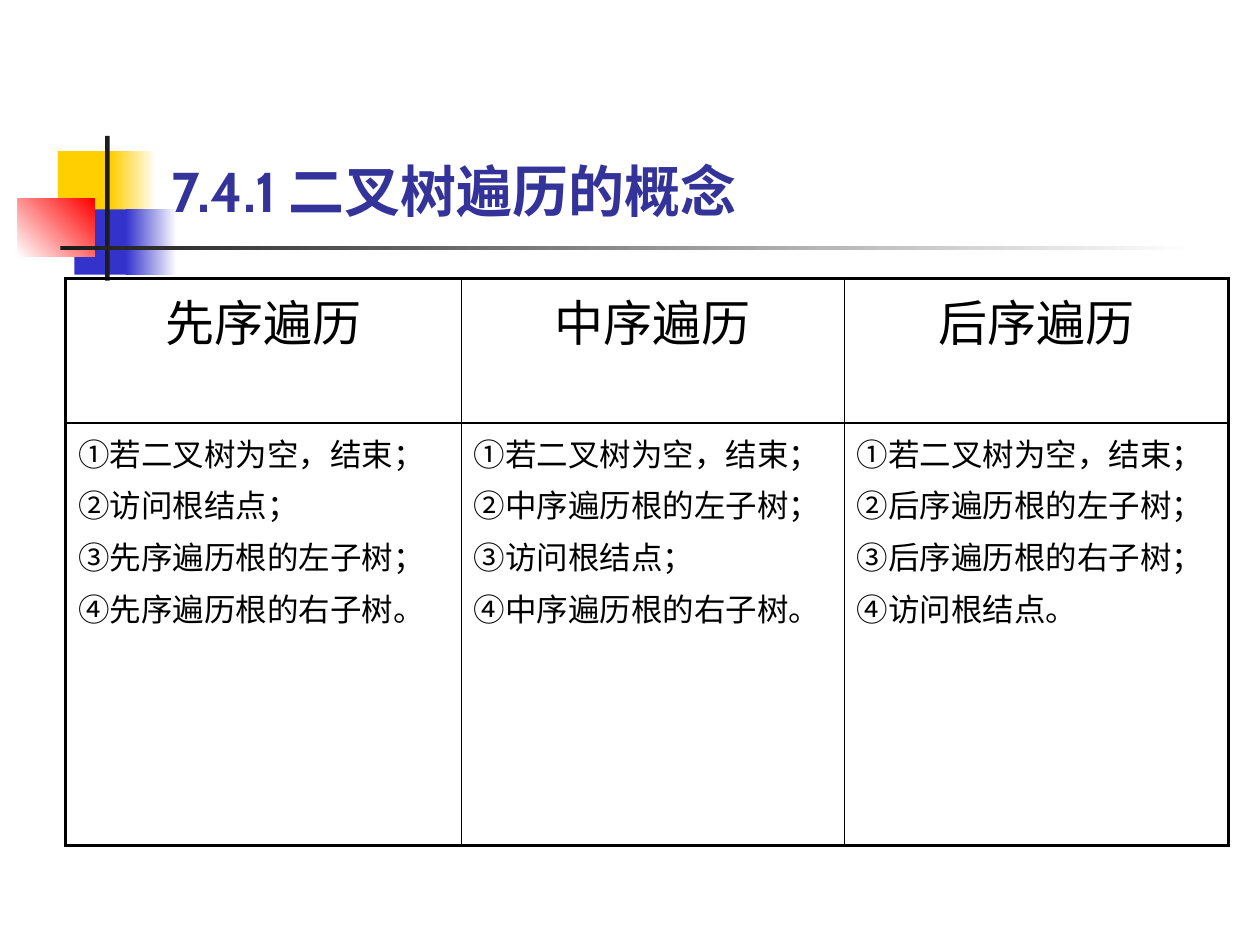
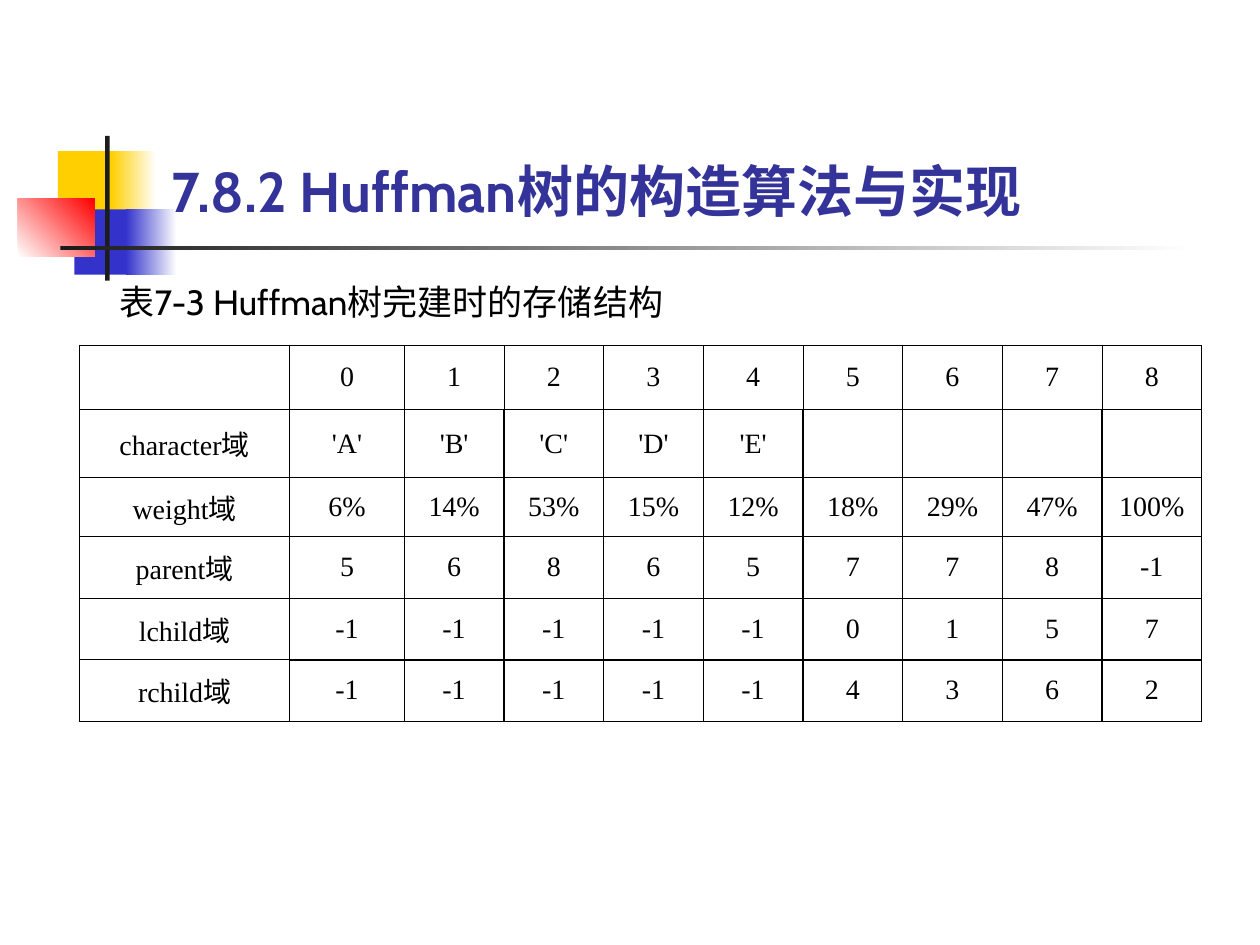
"""Builds two slides on binary tree traversal and the Huffman tree storage table."""
from lxml.etree import SubElement
from pptx import Presentation
from pptx.dml.color import RGBColor
from pptx.enum.shapes import MSO_SHAPE
from pptx.enum.text import MSO_ANCHOR, PP_ALIGN
from pptx.oxml.ns import qn
from pptx.util import Cm, Pt

COLOURS = {
    "white": "FFFFFF",
    "black": "000000",
    "yellow": "FFCF01",
    "blue": "3333CC",
    "red": "FF0000",
    "rule": "1C1C1C",
    "title": "333399",
}
SANS, SERIF = "Cabin", "Times New Roman"

ORNAMENT = [
    ((1.17, 3.05, 1.22, 1.32), ("yellow",), 0),
    ((2.24, 3.05, 0.91, 1.32), ("yellow", "white"), 0),
    ((1.5, 4.22, 1.17, 1.32), ("blue",), 0),
    ((2.54, 4.22, 1.02, 1.32), ("blue", "white"), 0),
    ((0.36, 4.01, 1.55, 1.17), ("white", "red"), 45),
    ((2.12, 2.74, 0.09, 2.92), ("rule",), 0),
    ((1.22, 4.95, 22.86, 0.09), ("rule", "white"), 0),
]

TRAVERSALS = [
    ["先序遍历", "中序遍历", "后序遍历"],
    [
        "①若二叉树为空，结束；\n②访问根结点；\n③先序遍历根的左子树；\n④先序遍历根的右子树。",
        "①若二叉树为空，结束；\n②中序遍历根的左子树；\n③访问根结点；\n④中序遍历根的右子树。",
        "①若二叉树为空，结束；\n②后序遍历根的左子树；\n③后序遍历根的右子树；\n④访问根结点。",
    ],
]

HUFFMAN = [
    ["", "0", "1", "2", "3", "4", "5", "6", "7", "8"],
    ["character域", "'A'", "'B'", "'C'", "'D'", "'E'", "", "", "", ""],
    ["weight域", "6%", "14%", "53%", "15%", "12%", "18%", "29%", "47%", "100%"],
    ["parent域", "5", "6", "8", "6", "5", "7", "7", "8", "-1"],
    ["lchild域", "-1", "-1", "-1", "-1", "-1", "0", "1", "5", "7"],
    ["rchild域", "-1", "-1", "-1", "-1", "-1", "4", "3", "6", "2"],
]


def framed(line, lane, last):
    return 2.25 if line in (0, last) else 1


def light_headings(line, lane, last):
    return 1 if line and lane else 0.5


def colour(name):
    return RGBColor.from_string(COLOURS[name])


class Deck:
    def __init__(self):
        self.presentation = Presentation()
        self.presentation.slide_width = Cm(25.4)
        self.presentation.slide_height = Cm(19.05)
        self.slide = None

    def new_slide(self, heading):
        self.slide = self.presentation.slides.add_slide(self.presentation.slide_layouts[6])
        for place, hues, angle in ORNAMENT:
            self.block(place, hues, angle)
        self.text((3.2, 0.58, 21.64, 4.06), heading, 32, "title", MSO_ANCHOR.BOTTOM, bold=True)

    def block(self, place, hues, angle):
        block = self.slide.shapes.add_shape(MSO_SHAPE.RECTANGLE, *map(Cm, place))
        block.shadow.inherit = False
        block.line.fill.background()
        if len(hues) == 1:
            block.fill.solid()
            block.fill.fore_color.rgb = colour(hues[0])
        else:
            block.fill.gradient()
            block.fill.gradient_angle = angle
            for stop, hue in zip(block.fill.gradient_stops, hues):
                stop.color.rgb = colour(hue)

    def set_words(self, frame, words, size, hue="black", font=SANS, bold=False,
                  align=PP_ALIGN.LEFT, gap=0):
        frame.text = words
        for paragraph in frame.paragraphs:
            paragraph.alignment = align
            paragraph.space_before = Pt(size * gap)
            paragraph.font.name = font
            paragraph.font.size = Pt(size)
            paragraph.font.bold = bold
            paragraph.font.color.rgb = colour(hue)

    def text(self, place, words, size, hue="black", anchor=MSO_ANCHOR.MIDDLE, bold=False):
        frame = self.slide.shapes.add_textbox(*map(Cm, place)).text_frame
        frame.word_wrap = True
        frame.vertical_anchor = anchor
        self.set_words(frame, words, size, hue, bold=bold)

    def border(self, cell, side, width):
        edge = SubElement(cell._tc.get_or_add_tcPr(), qn(f"a:ln{side}"), w=str(Pt(width)))
        fill = SubElement(edge, qn("a:solidFill"))
        SubElement(fill, qn("a:srgbClr"), val=COLOURS["black"])

    def table(self, corner, widths, heights, rows, weight, cell_style, anchor):
        size = sum(widths), sum(heights)
        table = self.slide.shapes.add_table(
            len(rows), len(widths), *map(Cm, corner + size)).table
        table.first_row = table.horz_banding = False
        for column, width in zip(table.columns, widths):
            column.width = Cm(width)
        for r, (row, height) in enumerate(zip(rows, heights)):
            table.rows[r].height = Cm(height)
            for c, words in enumerate(row):
                cell = table.cell(r, c)
                cell.vertical_anchor = anchor
                self.set_words(cell.text_frame, words, **cell_style(r))
                for side, line, lane, last in (
                    ("L", c, r, len(widths)),
                    ("R", c + 1, r, len(widths)),
                    ("T", r, c, len(rows)),
                    ("B", r + 1, c, len(rows)),
                ):
                    self.border(cell, side, weight(line, lane, last))
                cell.fill.background()


def traversal_style(row):
    if row == 0:
        return {"size": 28, "align": PP_ALIGN.CENTER, "gap": 0.2}
    return {"size": 18, "gap": 0.2}


def huffman_style(row):
    return {"size": 16, "font": SERIF, "align": PP_ALIGN.CENTER}


def main():
    deck = Deck()
    deck.new_slide("7.4.1 二叉树遍历的概念")
    deck.table((1.32, 5.61), [7.98, 7.72, 7.75], [2.92, 8.51], TRAVERSALS,
               framed, traversal_style, MSO_ANCHOR.TOP)

    deck.new_slide("7.8.2 Huffman树的构造算法与实现")
    deck.table((1.6, 6.96), [4.24, 2.31] + [2.01] * 8, [1.3, 1.37, 1.19] + [1.24] * 3,
               HUFFMAN, light_headings, huffman_style, MSO_ANCHOR.MIDDLE)
    deck.text((2.16, 5.54, 15.65, 1.09), "表7-3 Huffman树完建时的存储结构", 20)
    deck.presentation.save("out.pptx")


if __name__ == "__main__":
    main()
